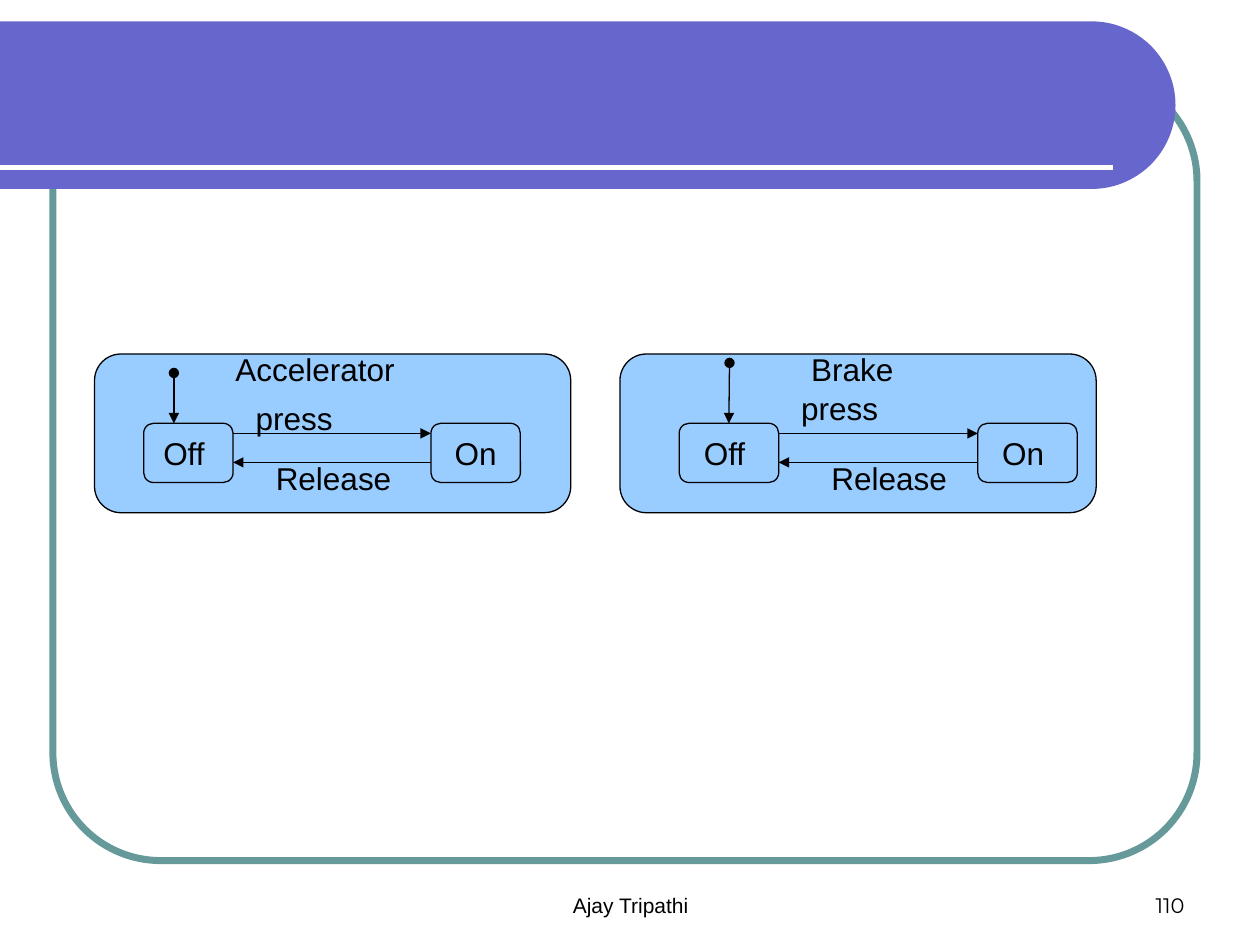
from math import cos, pi, sin

from lxml import etree
from pptx import Presentation
from pptx.dml.color import RGBColor
from pptx.enum.shapes import MSO_CONNECTOR as CONN, MSO_SHAPE as SHAPE
from pptx.enum.text import MSO_ANCHOR as ANCHOR, PP_ALIGN as ALIGN
from pptx.oxml.ns import qn
from pptx.util import Inches, Pt

COLORS = {
    "banner": "6666CC",
    "frame": "669999",
    "state": "99CCFF",
    "ink": "000000",
    "rule": "FFFFFF",
}

STATE_TOP, STATE_H = 3.36, 0.47
PRESS_Y, RELEASE_Y = 3.44, 3.67

PEDALS = [
    {"left": 0.75, "title": ("Accelerator", 1.77, 1.57),
     "off": 1.14, "on": 3.42, "on_text": "On", "state_w": 0.71,
     "start": (1.38, 2.96), "centred": False,
     "press": (1.93, 3.12), "release": (2.09, 3.59)},
    {"left": 4.92, "title": ("Brake", 6.34, 0.87),
     "off": 5.39, "on": 7.76, "on_text": "On ", "state_w": 0.79,
     "start": (5.79, 2.88), "centred": True,
     "press": (6.26, 3.04), "release": (6.5, 3.59)},
]


class SlideBuilder:
    font = "Arial"
    size = 18
    line_width = 0.75

    def __init__(self, slide):
        self.slide = slide

    def color(self, name):
        return RGBColor.from_string(COLORS[name])

    def set_text(self, sp, text, align, anchor, size=None, font=None, wrap=True):
        tf = sp.text_frame
        tf.word_wrap = wrap
        tf.vertical_anchor = anchor
        p = tf.paragraphs[0]
        p.text = text
        p.alignment = align
        p.font.name = font or self.font
        p.font.size = Pt(size or self.size)
        p.font.color.rgb = self.color("ink")

    def round_box(self, x, y, w, h, fill="state", line="ink", width=None, corner=0.167):
        sp = self.slide.shapes.add_shape(
            SHAPE.ROUNDED_RECTANGLE, Inches(x), Inches(y), Inches(w), Inches(h))
        sp.adjustments[0] = corner
        sp.shadow.inherit = False
        if fill:
            sp.fill.solid()
            sp.fill.fore_color.rgb = self.color(fill)
        else:
            sp.fill.background()
        sp.line.color.rgb = self.color(line)
        sp.line.width = Pt(width or self.line_width)
        return sp

    def state(self, text, x, w):
        sp = self.round_box(x, STATE_TOP, w, STATE_H)
        self.set_text(sp, text, ALIGN.CENTER, ANCHOR.MIDDLE, wrap=False)
        return sp

    def label(self, text, x, y, w, h=0.4, align=ALIGN.LEFT, anchor=ANCHOR.TOP, **style):
        sp = self.slide.shapes.add_textbox(Inches(x), Inches(y), Inches(w), Inches(h))
        self.set_text(sp, text, align, anchor, **style)

    def line(self, start, end, color="ink", width=None, head=None, tail=None):
        x1, y1, x2, y2 = (Inches(v) for v in (*start, *end))
        cxn = self.slide.shapes.add_connector(CONN.STRAIGHT, x1, y1, x2, y2)
        cxn.line.color.rgb = self.color(color)
        cxn.line.width = Pt(width or self.line_width)
        ln = cxn._element.spPr.find(qn("a:ln"))
        for tag, kind in (("a:headEnd", head), ("a:tailEnd", tail)):
            if kind:
                etree.SubElement(ln, qn(tag), type=kind)
        etree.SubElement(cxn._element.spPr, qn("a:effectLst"))
        return cxn

    def banner(self, top, right, height, steps=60):
        radius = height / 2
        cx, cy = right - radius, top + radius
        angles = [-pi / 2 + pi * i / steps for i in range(steps + 1)]
        points = [(cx + radius * cos(a), cy + radius * sin(a)) for a in angles]
        points.append((0, top + height))
        builder = self.slide.shapes.build_freeform(0, Inches(top))
        builder.add_line_segments([(Inches(x), Inches(y)) for x, y in points], close=True)
        sp = builder.convert_to_shape()
        sp.shadow.inherit = False
        sp.fill.solid()
        sp.fill.fore_color.rgb = self.color("banner")
        sp.line.fill.background()

    def pedal(self, left, title, off, on, on_text, state_w, start, centred, press, release):
        self.round_box(left, 2.81, 3.78, 1.26)
        name, title_x, title_w = title
        self.label(name, title_x, 2.73, title_w)
        off_box = self.state("Off ", off, state_w)
        self.state(on_text, on, state_w)
        off_right = off + state_w
        self.line((off_right, PRESS_Y), (on, PRESS_Y), tail="triangle")
        self.line((on, RELEASE_Y), (off_right, RELEASE_Y), tail="triangle")
        entry = self.line(start, (start[0], STATE_TOP), head="oval", tail="triangle")
        if centred:
            entry.end_connect(off_box, 0)
        self.label("press", *press, 1.18)
        self.label("Release", *release, 1.18)


def main():
    prs = Presentation()
    prs.slide_width, prs.slide_height = Inches(10), Inches(7.5)
    s = SlideBuilder(prs.slides.add_slide(prs.slide_layouts[6]))

    s.round_box(0.42, 0.58, 9.08, 6.25, fill=None, line="frame", width=4, corner=0.137)
    s.banner(top=0.17, right=9.33, height=1.33)
    s.line((0, 1.33), (8.83, 1.33), color="rule", width=3)

    s.label("Ajay Tripathi", 3.42, 6.83, 3.17, 0.5, ALIGN.CENTER, ANCHOR.BOTTOM, size=12)
    s.label("110", 7.17, 6.83, 2.33, 0.5, ALIGN.RIGHT, ANCHOR.BOTTOM,
            size=12, font="Montserrat")

    for pedal in PEDALS:
        s.pedal(**pedal)

    prs.save("out.pptx")


if __name__ == "__main__":
    main()
